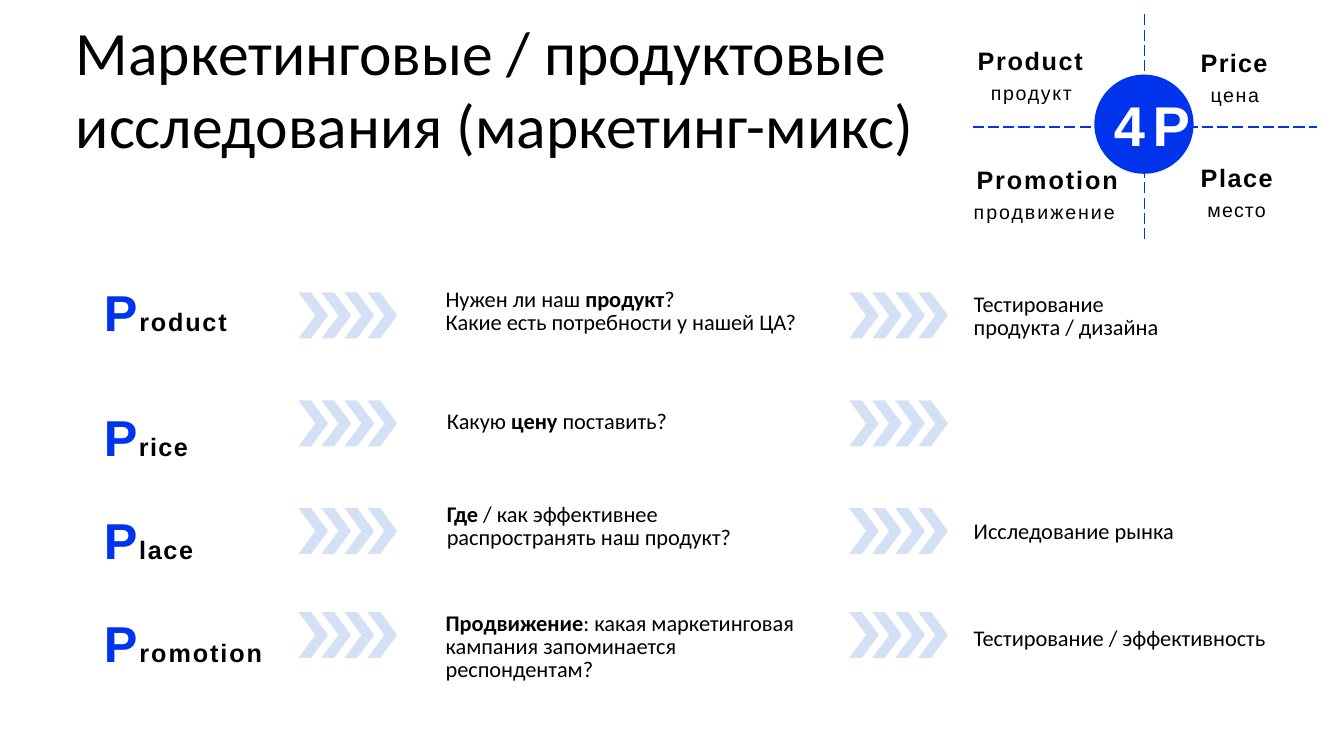
"""Builds the 4P marketing research slide."""
import lxml.etree
import pptx
import pptx.dml.color
import pptx.enum.dml
import pptx.enum.shapes
import pptx.enum.text
import pptx.oxml.ns
import pptx.util

Cm, Pt = pptx.util.Cm, pptx.util.Pt
ALIGN = pptx.enum.text.PP_ALIGN

COLORS = {"blue": "0034EC", "pale": "D4E1F4", "black": "000000", "white": "FFFFFF"}

TITLE = "Маркетинговые / продуктовые\vисследования (маркетинг-микс)"
TITLE_PLACE = (1.88, 0.28, 22, 3.81)

INITIALS_PLACE = (2.59, 7.06, 4.6, 9.8)
INITIALS = [
    ("roduct", 1.3, {}),
    ("rice", 1, {"line_spacing": 1.71, "space_before": Pt(15)}),
    ("lace", 1.2, {"line_spacing": 1.71}),
    ("romotion", 1.4, {"line_spacing": 1.71}),
]

NOTES = [
    ((11.2, 7.24, 9.73, 1.24), 0.03, 16.6,
     [[("Нужен ли наш ", False), ("продукт", True), ("?", False)],
      [("Какие есть потребности у нашей ЦА?", False)]]),
    ((11.23, 10.24, 6.05, 0.71), 0.03, None,
     [[("Какую ", False), ("цену", True), (" поставить?", False)]]),
    ((11.23, 12.62, 7.95, 1.27), 0.08, 16.5,
     [[("Где", True), (" / как эффективнее распространять наш продукт?", False)]]),
    ((11.2, 15.37, 8.86, 1.88), 0.08, 16.5,
     [[("Продвижение", True),
       (": какая маркетинговая кампания запоминается респондентам?", False)]]),
    ((24.51, 7.32, 4.8, 1.27), 0.08, 16.5,
     [[("Тестирование продукта / дизайна", False)]]),
    ((24.51, 13, 5.59, 0.71), 0.03, None, [[("Исследование рынка", False)]]),
    ((24.51, 15.7, 7.82, 0.71), 0.03, None,
     [[("Тестирование / эффективность", False)]]),
]

QUADRANTS = [
    ((24.61, 0.94, 3.07, 1.73), ("Product", 1.2, 0.03), ("продукт", 1.2, 0.36)),
    ((30.23, 0.99, 2.51, 1.73), ("Price", 0.9, 0.03), ("цена", 1.1, 0.28)),
    ((24.51, 3.94, 4.27, 1.73), ("Promotion", 1.4, 0.1), ("продвижение", 1.4, 0.03)),
    ((30.23, 3.89, 2.77, 1.73), ("Place", 1.1, 0.03), ("место", 0.8, 0.2)),
]
AXES = [(28.85, 0.36, 28.85, 6.05), (24.51, 3.2, 33.2, 3.2)]
CIRCLE = (27.58, 1.88, 2.5, 2.5)
CIRCLE_TEXT_PLACE = (27.81, 2.26, 2.41, 1.75)

ARROW_LEFTS = [7.52, 21.4]
ARROW_TOPS = [7.37, 10.09, 12.8, 15.42]
CHEVRON_COUNT, CHEVRON_STEP = 4, 0.58
CHEVRON = [(0.75, 0.58), (0.32, 0), (0, 0), (0.43, 0.58), (0, 1.16), (0.32, 1.16)]


def rgb(name):
    return pptx.dml.color.RGBColor.from_string(COLORS[name])


def set_all(target, values):
    for name, value in values.items():
        setattr(target, name, value)


def add_span(para, text, size, face="Calibri", color="black", bold=False, spacing=0):
    span = para.add_run()
    span.text = text
    set_all(span.font, {"size": Pt(size), "name": face, "bold": bold})
    span.font.color.rgb = rgb(color)
    if spacing:
        span.font._element.set("spc", str(round(spacing * 100)))


def prepare_frame(box, top=0.03, anchor=pptx.enum.text.MSO_ANCHOR.TOP):
    set_all(box.text_frame, {
        "word_wrap": True, "auto_size": pptx.enum.text.MSO_AUTO_SIZE.NONE,
        "margin_left": 0, "margin_top": Cm(top), "margin_right": 0,
        "margin_bottom": 0, "vertical_anchor": anchor})
    return box.text_frame


def add_frame(page, place, top=0.03):
    return prepare_frame(page.shapes.add_textbox(*map(Cm, place)), top)


def next_para(frame, index, indent=0.03, **values):
    para = frame.paragraphs[0] if index == 0 else frame.add_paragraph()
    para._p.get_or_add_pPr().set("marL", str(Cm(indent)))
    set_all(para, {"alignment": ALIGN.LEFT, **values})
    return para


def paint(shape, color):
    shape.shadow.inherit = False
    shape.fill.solid()
    shape.fill.fore_color.rgb = rgb(color)
    shape.line.fill.background()


def add_title(page):
    title = page.shapes.title
    set_all(title, dict(zip(("left", "top", "width", "height"), map(Cm, TITLE_PLACE))))
    frame = prepare_frame(title, anchor=pptx.enum.text.MSO_ANCHOR.MIDDLE)
    para = next_para(frame, 0)
    for index, line in enumerate(TITLE.split("\v")):
        if index:
            para.add_line_break()
        add_span(para, line, 44)


def add_arrows(page, left, top):
    builder = None
    for number in range(CHEVRON_COUNT):
        points = [(Cm(left + number * CHEVRON_STEP + x), Cm(top + y)) for x, y in CHEVRON]
        if builder is None:
            builder = page.shapes.build_freeform(*points[0])
        else:
            builder.move_to(*points[0])
        builder.add_line_segments(points[1:], close=True)
    paint(builder.convert_to_shape(), "pale")


def add_initials(page):
    frame = add_frame(page, INITIALS_PLACE)
    for index, (ending, spacing, values) in enumerate(INITIALS):
        para = next_para(frame, index, **values)
        add_span(para, "P", 36, "Arial", "blue", True, spacing)
        add_span(para, ending, 18, "Arial", "black", True, spacing)


def add_notes(page):
    for place, top, leading, lines in NOTES:
        frame = add_frame(page, place, top)
        for index, line in enumerate(lines):
            para = next_para(frame, index, line_spacing=Pt(leading) if leading else None)
            for text, bold in line:
                add_span(para, text, 16, bold=bold)


def add_mix_diagram(page):
    for ends in AXES:
        axis = page.shapes.add_connector(
            pptx.enum.shapes.MSO_CONNECTOR.STRAIGHT, *map(Cm, ends))
        axis.line.color.rgb = rgb("blue")
        set_all(axis.line, {"width": Pt(1),
                            "dash_style": pptx.enum.dml.MSO_LINE.LONG_DASH})
        lxml.etree.SubElement(axis._element.spPr, pptx.oxml.ns.qn("a:effectLst"))
    circle = page.shapes.add_shape(
        pptx.enum.shapes.MSO_SHAPE.OVAL, *map(Cm, CIRCLE))
    paint(circle, "blue")
    for place, *lines in QUADRANTS:
        frame = add_frame(page, place, 0.2)
        for index, (text, spacing, indent) in enumerate(lines):
            para = next_para(frame, index, indent, space_before=Pt(4 * index))
            add_span(para, text, (18, 14)[index], "Arial", "black", index == 0, spacing)
    para = next_para(add_frame(page, CIRCLE_TEXT_PLACE), 0, alignment=ALIGN.CENTER)
    add_span(para, "4Р", 40, "Arial", "white", True, 5.6)


def main():
    deck = pptx.Presentation()
    set_all(deck, {"slide_width": Cm(33.87), "slide_height": Cm(19.05)})
    page = deck.slides.add_slide(deck.slide_layouts[5])
    add_title(page)
    for left in ARROW_LEFTS:
        for top in ARROW_TOPS:
            add_arrows(page, left, top)
    add_initials(page)
    add_notes(page)
    add_mix_diagram(page)
    deck.save("out.pptx")


if __name__ == "__main__":
    main()
